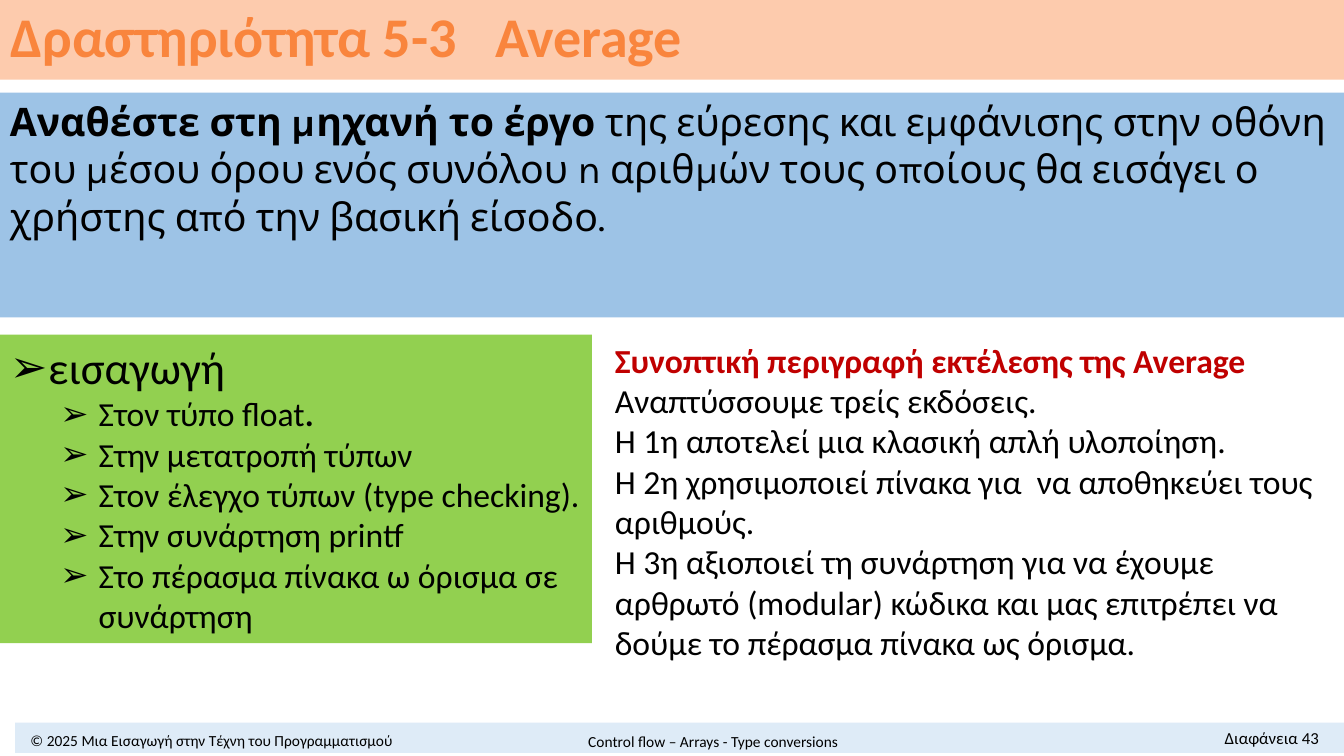
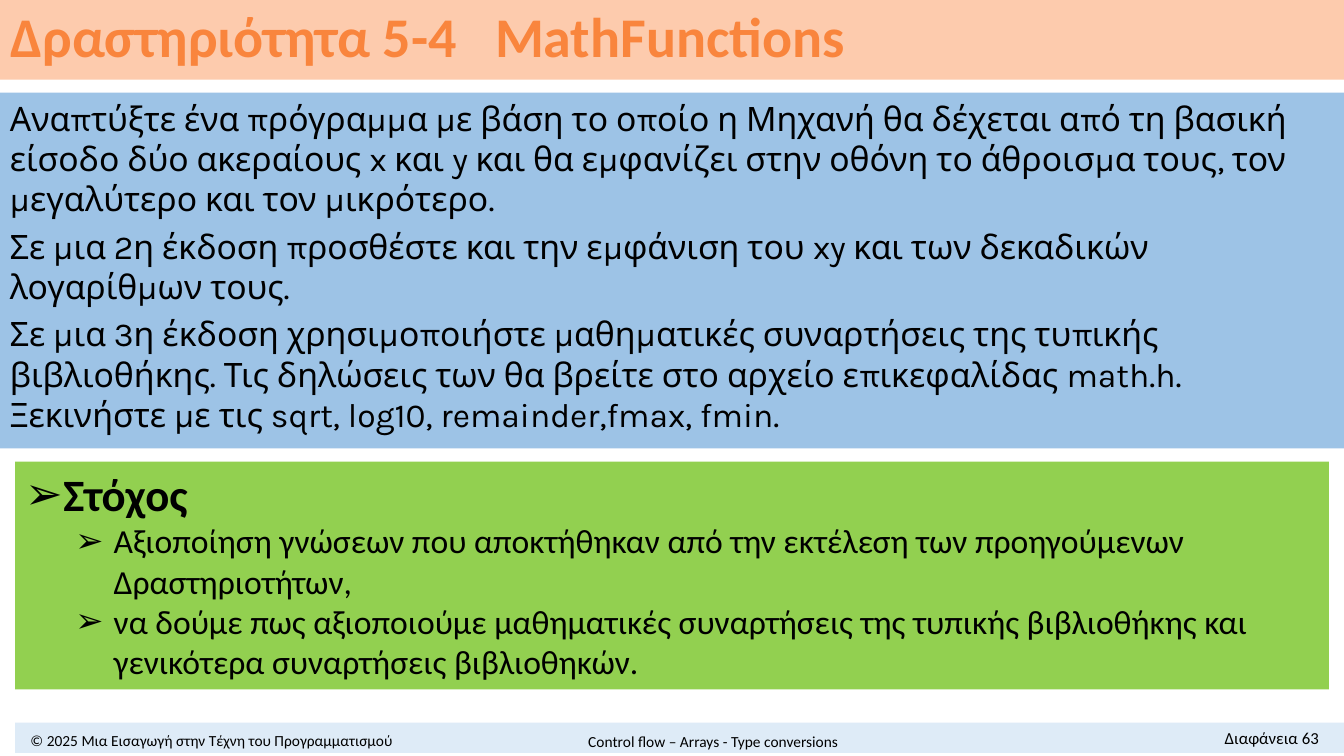
from dataclasses import dataclass

from lxml import etree
from pptx import Presentation
from pptx.dml.color import RGBColor
from pptx.enum import shapes, text
from pptx.oxml import ns
from pptx.util import Inches, Pt

BLACK, RED, ORANGE = "000000", "C00000", "F9853D"
PEACH, BLUE, GREEN, PALE = "FDCBAD", "9DC3E6", "92D050", "DEEBF7"
SLIDE_WIDTH, SLIDE_HEIGHT = 13.33, 7.5
HANGING = 0.38
LEFT, CENTER, RIGHT = text.PP_ALIGN.LEFT, text.PP_ALIGN.CENTER, text.PP_ALIGN.RIGHT
TOP, MIDDLE = text.MSO_ANCHOR.TOP, text.MSO_ANCHOR.MIDDLE


@dataclass(frozen=True)
class Area:
    left: float
    top: float
    width: float
    height: float


@dataclass(frozen=True)
class Line:
    words: str
    size: float
    bold: bool = False
    color: str = BLACK
    font: str = "Calibri"
    align: text.PP_ALIGN = LEFT
    bullet_level: int | None = None
    tail: str = ""
    tail_bold: bool = False
    space_before: float = 0


@dataclass(frozen=True)
class Panel:
    area: Area
    lines: list[Line]
    fill: str | None = None
    anchor: text.MSO_ANCHOR = TOP


@dataclass(frozen=True)
class Activity:
    number: str
    name: str
    page: int
    panels: list[Panel]


def rgb(value: str) -> RGBColor:
    return RGBColor.from_string(value)


def place(shape, area: Area) -> None:
    shape.left, shape.top = Inches(area.left), Inches(area.top)
    shape.width, shape.height = Inches(area.width), Inches(area.height)


def fill_with(shape, color: str) -> None:
    shape.fill.solid()
    shape.fill.fore_color.rgb = rgb(color)
    shape.line.fill.background()


def add_bullet(paragraph, level: int) -> None:
    paragraph.level = level
    properties = paragraph._p.get_or_add_pPr()
    properties.set("marL", str(Inches(HANGING + 0.5 * level)))
    properties.set("indent", str(Inches(-HANGING)))
    etree.SubElement(properties, ns.qn("a:buFont")).set("typeface", "Arial")
    etree.SubElement(properties, ns.qn("a:buChar")).set("char", "➢")


def add_tab_stop(paragraph, position: float) -> None:
    tabs = etree.SubElement(paragraph._p.get_or_add_pPr(), ns.qn("a:tabLst"))
    tab = etree.SubElement(tabs, ns.qn("a:tab"))
    tab.set("pos", str(Inches(position)))
    tab.set("algn", "l")


def write_line(paragraph, line: Line) -> None:
    paragraph.text = line.words
    if line.tail:
        paragraph.add_run().text = line.tail
    if line.bullet_level is not None:
        add_bullet(paragraph, line.bullet_level)
    paragraph.alignment = line.align
    paragraph.space_before = Pt(line.space_before)
    for run, bold in zip(paragraph.runs, (line.bold, line.tail_bold)):
        run.font.name = line.font
        run.font.size = Pt(line.size)
        run.font.bold = bold
        run.font.color.rgb = rgb(line.color)


def add_panel(slide, panel: Panel) -> None:
    if panel.fill:
        shape = slide.shapes.add_shape(shapes.MSO_SHAPE.RECTANGLE, 0, 0, 0, 0)
        shape.shadow.inherit = False
        fill_with(shape, panel.fill)
    else:
        shape = slide.shapes.add_textbox(0, 0, 0, 0)
    place(shape, panel.area)
    frame = shape.text_frame
    frame.word_wrap = True
    frame.vertical_anchor = panel.anchor
    for index, line in enumerate(panel.lines):
        write_line(frame.add_paragraph() if index else frame.paragraphs[0], line)


def set_title(slide, activity: Activity) -> None:
    title = slide.shapes.title
    place(title, Area(0, 0, SLIDE_WIDTH, 0.79))
    fill_with(title, PEACH)
    frame = title.text_frame
    frame.word_wrap = True
    frame.auto_size = text.MSO_AUTO_SIZE.NONE
    frame.vertical_anchor = MIDDLE
    paragraph = frame.paragraphs[0]
    add_tab_stop(paragraph, 4.81)
    words = f"Δραστηριότητα {activity.number}\t{activity.name}"
    write_line(paragraph, Line(words, 40, bold=True, color=ORANGE))
    paragraph.line_spacing = 0.9


def footer_panels(page: int) -> list[Panel]:
    copyright_line = Line("© 2025 Μια Εισαγωγή στην Τέχνη του Προγραμματισμού", 11, align=CENTER)
    topic = Line("Control flow – Arrays - Type conversions", 11, align=CENTER)
    number = Line(f"Διαφάνεια {page}", 12, align=RIGHT)
    return [
        Panel(Area(0.15, 7.17, SLIDE_WIDTH - 0.15, 0.3), [], PALE),
        Panel(Area(0, 7.22, 4.2, 0.26), [copyright_line], anchor=MIDDLE),
        Panel(Area(4.54, 7.21, 5.07, 0.3), [topic], anchor=MIDDLE),
        Panel(Area(11.12, 7.17, 2.06, 0.3), [number]),
    ]


def task_panel(height: float, lines: list[Line]) -> Panel:
    return Panel(Area(0, 0.92, SLIDE_WIDTH, height), lines, BLUE)


def goal_panel(area: Area, heading: Line, goals: list[Line]) -> Panel:
    return Panel(area, [heading, *goals], GREEN)


def goal(words: str, tail: str = "") -> Line:
    return Line(words, 24, bullet_level=1, tail=tail, tail_bold=True)


AVERAGE = Activity("5-3", "Average", 43, [
    task_panel(2.23, [Line(
        "Αναθέστε στη μηχανή το έργο ", 28, bold=True, font="Karla",
        tail="της εύρεσης και εμφάνισης στην οθόνη του μέσου όρου ενός συνόλου n αριθμών "
             "τους οποίους θα εισάγει ο χρήστης από την βασική είσοδο.")]),
    goal_panel(Area(0, 3.32, 5.87, 3.06), Line("εισαγωγή", 32, bullet_level=0), [
        goal("Στον τύπο float", "."),
        goal("Στην μετατροπή τύπων"),
        goal("Στον έλεγχο τύπων (type checking)."),
        goal("Στην συνάρτηση printf"),
        goal("Στο πέρασμα πίνακα ω όρισμα σε συνάρτηση"),
    ]),
    Panel(Area(6, 3.32, 7.21, 3.33), [
        Line("Συνοπτική περιγραφή εκτέλεσης της Average", 24, bold=True, color=RED),
        Line("Αναπτύσσουμε τρείς εκδόσεις.", 24),
        Line("Η 1η αποτελεί μια κλασική απλή υλοποίηση.", 24),
        Line("Η 2η χρησιμοποιεί πίνακα για  να αποθηκεύει τους αριθμούς.", 24),
        Line("H 3η αξιοποιεί τη συνάρτηση για να έχουμε αρθρωτό (modular) κώδικα "
             "και μας επιτρέπει να δούμε το πέρασμα πίνακα ως όρισμα.", 24),
    ]),
])

MATH_FUNCTIONS = Activity("5-4", "MathFunctions", 63, [
    task_panel(3.53, [
        Line("Αναπτύξτε ένα πρόγραμμα με βάση το οποίο η Μηχανή θα δέχεται από τη βασική "
             "είσοδο δύο ακεραίους x και y και θα εμφανίζει στην οθόνη το άθροισμα τους, "
             "τον μεγαλύτερο και τον μικρότερο.", 24, font="Karla"),
        Line("Σε μια 2η έκδοση προσθέστε και την εμφάνιση του xy και των δεκαδικών "
             "λογαρίθμων τους.", 24, font="Karla", space_before=5),
        Line("Σε μια 3η έκδοση χρησιμοποιήστε μαθηματικές συναρτήσεις της τυπικής "
             "βιβλιοθήκης. Τις δηλώσεις των θα βρείτε στο αρχείο επικεφαλίδας math.h. "
             "Ξεκινήστε με τις sqrt, log10, remainder,fmax, fmin.", 24, font="Karla",
             space_before=5),
    ]),
    goal_panel(Area(0.15, 4.58, 13.03, 2.26), Line("Στόχος", 32, bold=True, bullet_level=0), [
        goal("Αξιοποίηση γνώσεων που αποκτήθηκαν από την εκτέλεση των προηγούμενων "
             "Δραστηριοτήτων,"),
        goal("να δούμε πως αξιοποιούμε μαθηματικές συναρτήσεις της τυπικής βιβλιοθήκης "
             "και γενικότερα συναρτήσεις βιβλιοθηκών."),
    ]),
])


def add_activity(presentation, activity: Activity) -> None:
    slide = presentation.slides.add_slide(presentation.slide_layouts[5])
    set_title(slide, activity)
    for panel in activity.panels + footer_panels(activity.page):
        add_panel(slide, panel)


def main() -> None:
    presentation = Presentation()
    presentation.slide_width = Inches(SLIDE_WIDTH)
    presentation.slide_height = Inches(SLIDE_HEIGHT)
    for activity in (AVERAGE, MATH_FUNCTIONS):
        add_activity(presentation, activity)
    presentation.save("out.pptx")


if __name__ == "__main__":
    main()
